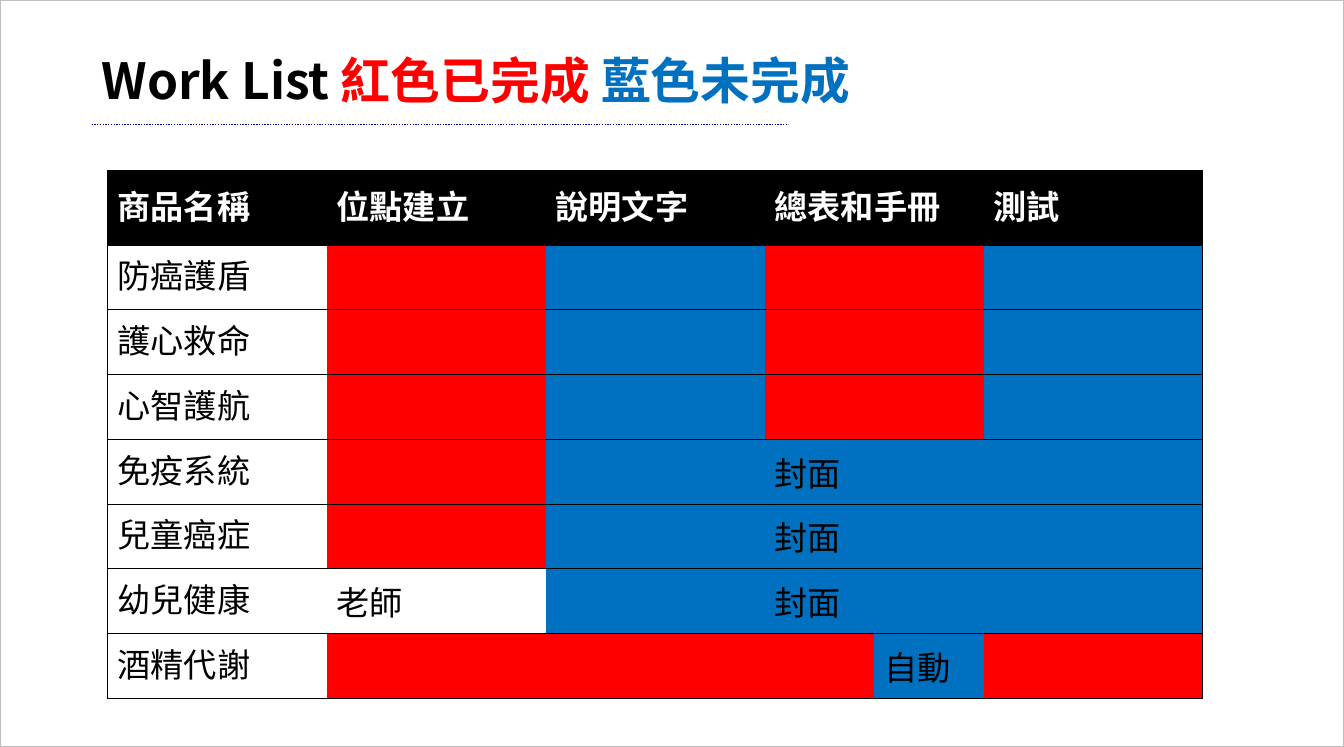
from lxml.etree import SubElement
from pptx import Presentation
from pptx.dml.color import RGBColor
from pptx.enum.dml import MSO_LINE
from pptx.enum.shapes import MSO_CONNECTOR, MSO_SHAPE
from pptx.enum.text import MSO_ANCHOR, MSO_AUTO_SIZE, PP_ALIGN
from pptx.oxml import parse_xml
from pptx.oxml.ns import nsdecls, qn
from pptx.util import Inches, Pt

BLACK, WHITE, RED, BLUE = "000000", "FFFFFF", "FF0000", "0070C0"
NOTO = "Noto Sans CJK SC"
NO_STYLE = "{2D5ABB26-0587-4C30-8999-92F81FD0307C}"


def color(hex_text):
    return RGBColor.from_string(hex_text)


def write(paragraph, text, size=24, font=NOTO, fill=BLACK, bold=False):
    run = paragraph.add_run()
    run.text = text
    run.font.size, run.font.bold, run.font.name = Pt(size), bold, font
    run.font.color.rgb = color(fill)
    SubElement(run.font._element, qn("a:ea")).set("typeface", font)


presentation = Presentation()
presentation.slide_width, presentation.slide_height = Inches(13.5), Inches(7.5)
slide = presentation.slides.add_slide(presentation.slide_layouts[5])
shapes = slide.shapes

# Title
title = shapes.title
title.left, title.top = Inches(0.92), Inches(0.52)
title.width, title.height = Inches(9.42), Inches(1.25)
title_frame = title.text_frame
title_frame.auto_size = MSO_AUTO_SIZE.NONE
title_frame.vertical_anchor = MSO_ANCHOR.TOP
paragraph = title_frame.paragraphs[0]
paragraph.alignment = PP_ALIGN.LEFT
paragraph.line_spacing = 0.9
for text, fill in (("Work List ", BLACK), ("紅色已完成 ", RED), ("藍色未完成", BLUE)):
    write(paragraph, text, size=36, fill=fill, bold=True)

# Slide border and dotted rule under the title
border = shapes.add_shape(MSO_SHAPE.RECTANGLE, 0, 0,
                          presentation.slide_width, presentation.slide_height)
border.shadow.inherit = False
border.fill.background()
border.line.color.rgb, border.line.width = color("BEBEBE"), Pt(1)

rule = shapes.add_connector(MSO_CONNECTOR.STRAIGHT, Inches(0.92), Inches(1.25),
                            Inches(7.92), Inches(1.25))
rule.line.color.rgb, rule.line.width = color("000090"), Pt(1)
rule.line.dash_style = MSO_LINE.ROUND_DOT
SubElement(rule._element.spPr, qn("a:effectLst"))

# Work list: a cell is (text, fill); the manual column is split in two
plain, done, open_ = ("", None), ("", RED), ("", BLUE)
cover = ("封面", BLUE)
header = ["商品名稱", "位點建立", "說明文字", "總表和手冊", "", "測試"]
rows = [[(text, BLACK) for text in header]]
for product, *states in (
    ("防癌護盾", done, open_, done, done, open_),
    ("護心救命", done, open_, done, done, open_),
    ("心智護航", done, open_, done, done, open_),
    ("免疫系統", done, open_, cover, open_, open_),
    ("兒童癌症", done, open_, cover, open_, open_),
    ("幼兒健康", ("老師", None), open_, cover, open_, open_),
    ("酒精代謝", done, done, done, ("自動", BLUE), done),
):
    rows.append([(product, None), *states])

column_widths = [2.2, 2.2, 2.2, 1.1, 1.1, 2.2]
last_row, last_column = len(rows) - 1, len(column_widths) - 1
table_frame = shapes.add_table(len(rows), len(column_widths), Inches(1.08),
                               Inches(1.71), Inches(11), Inches(5.3))
table = table_frame.table
table.first_row = table.horz_banding = False
table_frame._element.find(".//" + qn("a:tableStyleId")).text = NO_STYLE
for column, width in zip(table.columns, column_widths):
    column.width = Inches(width)

for r, row in enumerate(rows):
    table.rows[r].height = Inches(0.65 if r else 0.75)
    for c, (text, fill) in enumerate(row):
        cell = table.cell(r, c)
        cell.vertical_anchor = MSO_ANCHOR.MIDDLE
        if fill:
            cell.fill.solid()
            cell.fill.fore_color.rgb = color(fill)
        else:
            cell.fill.background()
        if text:
            write(cell.text_frame.paragraphs[0], text,
                  font="Arial" if r == 0 or c == 0 else NOTO,
                  fill=WHITE if r == 0 else BLACK, bold=r == 0)
        # Lines between rows and around the table
        sides = "L" * (c == 0) + "R" * (c == last_column) + "TB"
        properties = cell._tc.get_or_add_tcPr()
        for position, side in enumerate(sides):
            properties.insert(position, parse_xml(
                f'<a:ln{side} {nsdecls("a")} w="{Pt(0.75)}"><a:solidFill>'
                f'<a:srgbClr val="{BLACK}"/></a:solidFill></a:ln{side}>'))

# The manual column is one cell in every row but the last
for r in range(last_row):
    table.cell(r, 3).merge(table.cell(r, 4))

presentation.save("out.pptx")
